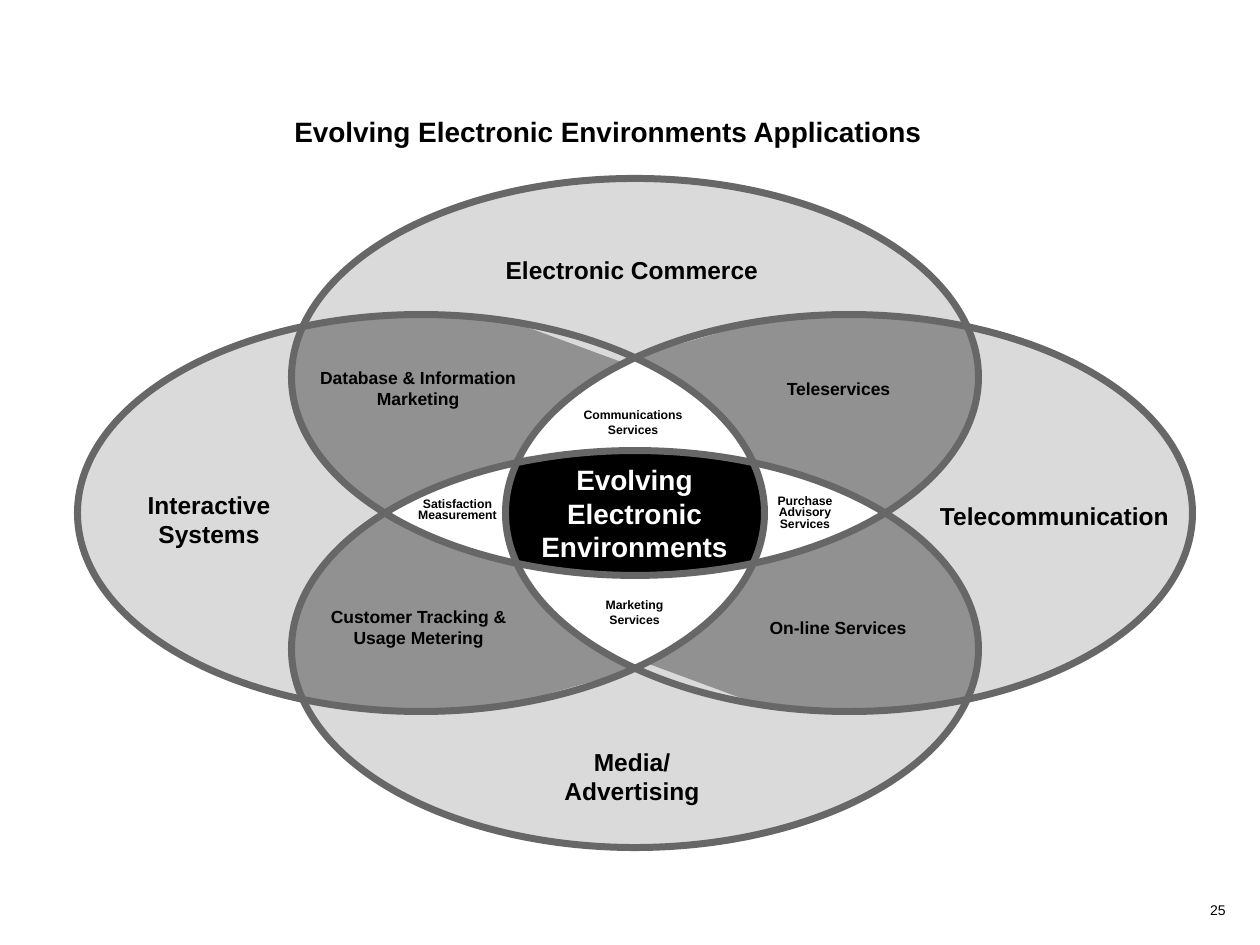
import math
import pptx
import pptx.util
import pptx.dml.color
import pptx.enum.shapes
import pptx.enum.text

PX = 914400 / 126
CENTRE_X, CENTRE_Y = 635, 513
OVAL_W, OVAL_H = 687, 397
SHIFT_X, SHIFT_Y = 214, 136
RAYS, STEP = 180, 10
LIGHT, DARK, EDGE = "DADADA", "919191", "676767"
BLACK, WHITE = "000000", "FFFFFF"

# Centres of the ovals: top, right, left, bottom
OVALS = [
    (CENTRE_X, CENTRE_Y - SHIFT_Y),
    (CENTRE_X + SHIFT_X, CENTRE_Y),
    (CENTRE_X - SHIFT_X, CENTRE_Y),
    (CENTRE_X, CENTRE_Y + SHIFT_Y),
]

# Offset of a point inside each overlap from the centre, and its fill
OVERLAPS = [(dx, dy, DARK) for dx in (-235, 235) for dy in (-150, 150)]
OVERLAPS += [(dx, 0, WHITE) for dx in (-155, 155)]
OVERLAPS += [(0, dy, WHITE) for dy in (-98, 98)]
OVERLAPS += [(0, 0, BLACK)]

# Box, lines, size, colour, line spacing
LABELS = [
    ((494, 250, 276, 40), ["Electronic Commerce"], 14, BLACK, None),
    ((136, 484, 146, 70), ["Interactive", "Systems"], 14, BLACK, None),
    ((928, 496, 253, 40), ["Telecommunication"], 14, BLACK, None),
    ((553, 741, 158, 70), ["Media/", "Advertising"], 14, BLACK, None),
    ((309, 362, 218, 53), ["Database & Information", "Marketing"], 10, BLACK, None),
    ((775, 372, 127, 33), ["Teleservices"], 10, BLACK, None),
    ((319, 601, 199, 53), ["Customer Tracking &", "Usage Metering"], 10, BLACK, None),
    ((758, 611, 160, 33), ["On-line Services"], 10, BLACK, None),
    ((572, 402, 122, 40), ["Communications", "Services"], 7, BLACK, None),
    ((594, 592, 81, 40), ["Marketing", "Services"], 7, BLACK, None),
    ((766, 490, 78, 47), ["Purchase", "Advisory", "Services"], 7, BLACK, 0.8),
    ((407, 493, 101, 35), ["Satisfaction", "Measurement"], 7, BLACK, 0.8),
    ((530, 457, 209, 112), ["Evolving", "Electronic", "Environments"], 16, WHITE, None),
]


def emu(*lengths):
    return [pptx.util.Emu(round(n * PX)) for n in lengths]


def rgb(value):
    return pptx.dml.color.RGBColor.from_string(value)


def write_lines(tf, lines, size, color, bold=True, spacing=None):
    tf.word_wrap = False
    tf.auto_size = pptx.enum.text.MSO_AUTO_SIZE.NONE
    tf.vertical_anchor = pptx.enum.text.MSO_ANCHOR.MIDDLE
    tf.margin_left = tf.margin_right = pptx.util.Inches(0.09)
    tf.margin_top = tf.margin_bottom = pptx.util.Inches(0.05)
    for i, line in enumerate(lines):
        p = tf.add_paragraph() if i else tf.paragraphs[0]
        p.alignment = pptx.enum.text.PP_ALIGN.CENTER
        p.line_spacing = spacing
        r = p.add_run()
        r.text = line
        r.font.name = "Arial"
        r.font.size = pptx.util.Pt(size)
        r.font.bold = bold
        r.font.color.rgb = rgb(color)


def add_label(slide, box, lines, size, color, spacing=None, bold=True):
    sp = slide.shapes.add_textbox(*emu(*box))
    write_lines(sp.text_frame, lines, size, color, bold, spacing)


def add_title(slide, box, text):
    sp = slide.shapes.title
    sp.left, sp.top, sp.width, sp.height = emu(*box)
    write_lines(sp.text_frame, [text], 16, BLACK)


def paint(sp, fill=None, line=None):
    sp.shadow.inherit = False
    if fill:
        sp.fill.solid()
        sp.fill.fore_color.rgb = rgb(fill)
    else:
        sp.fill.background()
    if line:
        sp.line.color.rgb = rgb(line)
        sp.line.width = pptx.util.Pt(4)
    else:
        sp.line.fill.background()


def add_oval(slide, centre, grow=0, **style):
    x, y = centre
    w, h = OVAL_W + 2 * grow, OVAL_H + 2 * grow
    sp = slide.shapes.add_shape(
        pptx.enum.shapes.MSO_SHAPE.OVAL, *emu(x - w / 2, y - h / 2, w, h))
    paint(sp, **style)


def crossings(x, y, dx, dy, centre):
    """Distances along a ray at which it meets the oval around centre."""
    a, b = OVAL_W / 2, OVAL_H / 2
    u, v = (x - centre[0]) / a, (y - centre[1]) / b
    du, dv = dx / a, dy / b
    square, half = du * du + dv * dv, u * du + v * dv
    root = half * half - square * (u * u + v * v - 1)
    if root < 0:
        return []
    return [t for sign in (-1, 1)
            if (t := (-half + sign * math.sqrt(root)) / square) > 0]


def add_overlap(slide, x, y, fill):
    """Fill the area around a point as far as the nearest oval edges."""
    hits = []
    for i in range(RAYS):
        angle = math.tau * i / RAYS
        dx, dy = math.cos(angle), math.sin(angle)
        reach, oval = min((t, oval) for oval in OVALS
                          for t in crossings(x, y, dx, dy, oval))
        hits.append((oval, (x + reach * dx, y + reach * dy)))
    # Corners, where the nearest oval changes, and a few points between them
    points = [point for i, (oval, point) in enumerate(hits)
              if i % STEP == 0 or oval != hits[i - 1][0]]
    builder = slide.shapes.build_freeform(*points[0], scale=PX)
    builder.add_line_segments(points[1:], close=True)
    paint(builder.convert_to_shape(), fill=fill)


def add_diagram(slide):
    for centre in OVALS:
        add_oval(slide, centre, grow=3, fill=LIGHT)
    for dx, dy, fill in OVERLAPS:
        add_overlap(slide, CENTRE_X + dx, CENTRE_Y + dy, fill)
    for centre in OVALS:
        add_oval(slide, centre, line=EDGE)
    for label in LABELS:
        add_label(slide, *label)


def main():
    prs = pptx.Presentation()
    prs.slide_width, prs.slide_height = emu(1260, 945)
    slide = prs.slides.add_slide(prs.slide_layouts[5])
    add_title(slide, (281, 108, 654, 47),
              "Evolving Electronic Environments Applications")
    add_diagram(slide)
    add_label(slide, (1197, 895, 42, 29), ["25"], 8, BLACK, bold=False)
    prs.save("out.pptx")


if __name__ == "__main__":
    main()
